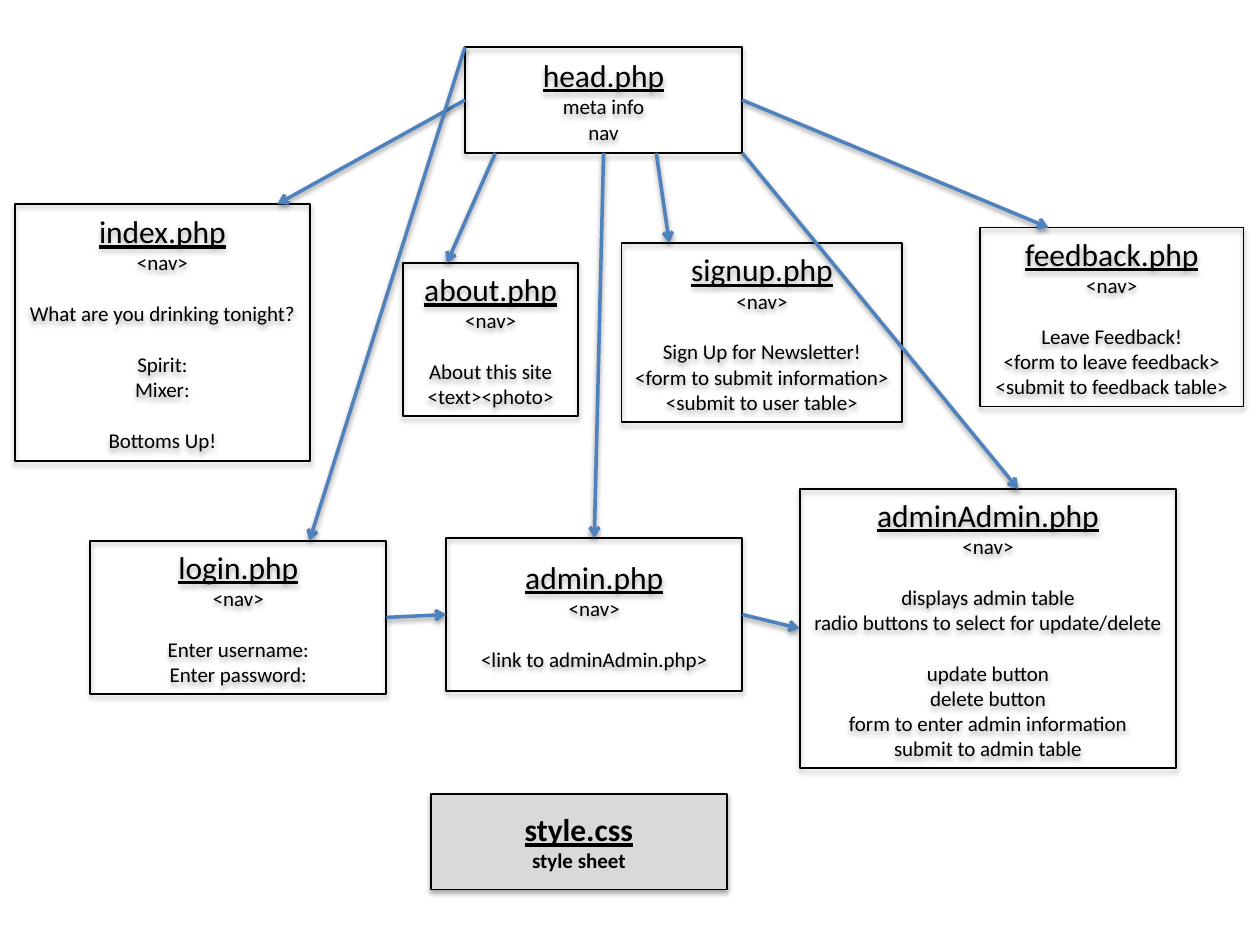
from dataclasses import dataclass

from lxml.etree import SubElement
from pptx import Presentation
from pptx.dml.color import RGBColor
from pptx.enum.shapes import MSO_CONNECTOR as Connector, MSO_SHAPE as Shape
from pptx.enum.text import MSO_ANCHOR as Anchor, PP_ALIGN as Align
from pptx.oxml.ns import qn
from pptx.util import Pt

INK = "000000"
ARROW_BLUE = "4F81BD"
SHEET_GRAY = "D9D9D9"
GROUP_GAP = 14.65

FRAME_FORMAT = {"vertical_anchor": Anchor.MIDDLE, "word_wrap": False}
NAME_FORMAT = {"name": "Calibri", "size": Pt(18), "underline": True}
DETAIL_FORMAT = {"name": "Calibri", "size": Pt(12), "underline": False}

GLUE_SITES = {(0.5, 0): 0, (0, 0.5): 1, (0.5, 1): 2, (1, 0.5): 3}


@dataclass(frozen=True)
class Page:
    name: str
    left: float
    top: float
    width: float
    height: float
    groups: tuple[tuple[str, ...], ...]
    fill: str | None = None
    bold: bool = False

    def point(self, spot: tuple[float, float]) -> tuple[Pt, Pt]:
        across, down = spot
        return Pt(self.left + across * self.width), Pt(self.top + down * self.height)


@dataclass(frozen=True)
class Link:
    source: str
    exit: tuple[float, float]
    target: str
    entry: tuple[float, float]


PAGES = (
    Page("head.php", 265.7, 27, 158.4, 60.4, (("meta info", "nav"),)),
    Page("index.php", 8.6, 116.6, 168.5, 146.9,
         (("<nav>",), ("What are you drinking tonight?",),
          ("Spirit:", "Mixer:"), ("Bottoms Up!",))),
    Page("about.php", 230.4, 150.3, 100, 87.6,
         (("<nav>",), ("About this site", "<text><photo>"))),
    Page("signup.php", 355.2, 138.8, 160.4, 102.4,
         (("<nav>",), ("Sign Up for Newsletter!", "<form to submit information>",
                       "<submit to user table>"))),
    Page("feedback.php", 560, 130, 150.6, 102.4,
         (("<nav>",), ("Leave Feedback!", "<form to leave feedback>",
                       "<submit to feedback table>"))),
    Page("login.php", 51.6, 309, 169.2, 87.6,
         (("<nav>",), ("Enter username:", "Enter password:"))),
    Page("admin.php", 255, 307.4, 169.2, 87.6,
         (("<nav>",), ("<link to adminAdmin.php>",))),
    Page("adminAdmin.php", 457, 279.4, 215.2, 159.4,
         (("<nav>",), ("displays admin table", "radio buttons to select for update/delete"),
          ("update button", "delete button", "form to enter admin information",
           "submit to admin table"))),
)
STYLE_SHEET = Page("style.css", 246.2, 453.6, 169.2, 54.7, (("style sheet",),),
                   fill=SHEET_GRAY, bold=True)

LINKS = (
    Link("login.php", (1, 0.5), "admin.php", (0, 0.5)),
    Link("admin.php", (1, 0.5), "adminAdmin.php", (0, 0.5)),
    Link("head.php", (0, 0.5), "index.php", (0.89, 0)),
    Link("head.php", (0.11, 1), "about.php", (0.25, 0)),
    Link("head.php", (0.69, 1), "signup.php", (0.17, 0)),
    Link("head.php", (1, 0.5), "feedback.php", (0.26, 0)),
    Link("head.php", (0, 0), "login.php", (0.74, 0)),
    Link("head.php", (0.5, 1), "admin.php", (0.5, 0)),
    Link("head.php", (1, 1), "adminAdmin.php", (0.58, 0)),
)


def color(hex_value: str) -> RGBColor:
    return RGBColor.from_string(hex_value)


def apply_format(item, values: dict) -> None:
    for attribute, value in values.items():
        setattr(item, attribute, value)


def set_outline(line, hex_value: str, weight: float) -> None:
    line.color.rgb = color(hex_value)
    line.width = Pt(weight)


def cast_shadow(properties, distance: float, opacity: int) -> None:
    effects = properties.find(qn("a:effectLst"))
    if effects is None:
        effects = SubElement(properties, qn("a:effectLst"))
    shadow = SubElement(effects, qn("a:outerShdw"), blurRad=str(Pt(3.1)),
                        dist=str(Pt(distance)), dir="5400000", rotWithShape="0")
    tint = SubElement(shadow, qn("a:srgbClr"), val=INK)
    SubElement(tint, qn("a:alpha"), val=str(opacity * 1000))


def write_line(paragraph, wording: str, values: dict, bold: bool) -> None:
    paragraph.alignment = Align.CENTER
    run = paragraph.add_run()
    run.text = wording
    apply_format(run.font, values | {"bold": bold})
    run.font.color.rgb = color(INK)


def draw_page(slide, page: Page):
    box = slide.shapes.add_shape(Shape.RECTANGLE, Pt(page.left), Pt(page.top),
                                 Pt(page.width), Pt(page.height))
    if page.fill:
        box.fill.solid()
        box.fill.fore_color.rgb = color(page.fill)
    else:
        box.fill.background()
    set_outline(box.line, INK, 1)
    box.shadow.inherit = False
    cast_shadow(box.element.spPr, 1.8, 35)

    frame = box.text_frame
    apply_format(frame, FRAME_FORMAT)
    write_line(frame.paragraphs[0], page.name, NAME_FORMAT, page.bold)
    for group_index, group in enumerate(page.groups):
        for line_index, wording in enumerate(group):
            paragraph = frame.add_paragraph()
            write_line(paragraph, wording, DETAIL_FORMAT, page.bold)
            if group_index and not line_index:
                paragraph.space_before = Pt(GROUP_GAP)
    return box


def draw_link(slide, link: Link, pages: dict[str, Page], boxes: dict) -> None:
    arrow = slide.shapes.add_connector(Connector.STRAIGHT,
                                       *pages[link.source].point(link.exit),
                                       *pages[link.target].point(link.entry))
    if link.exit in GLUE_SITES:
        arrow.begin_connect(boxes[link.source], GLUE_SITES[link.exit])
    if link.entry in GLUE_SITES:
        arrow.end_connect(boxes[link.target], GLUE_SITES[link.entry])
    set_outline(arrow.line, ARROW_BLUE, 2)
    properties = arrow.element.spPr
    SubElement(properties.find(qn("a:ln")), qn("a:tailEnd"), type="arrow")
    cast_shadow(properties, 1.6, 38)


def main() -> None:
    deck = Presentation()
    deck.slide_width, deck.slide_height = Pt(720), Pt(540)
    slide = deck.slides.add_slide(deck.slide_layouts.get_by_name("Blank"))

    pages = {page.name: page for page in PAGES}
    boxes = {page.name: draw_page(slide, page) for page in PAGES}
    for link in LINKS:
        draw_link(slide, link, pages, boxes)
    draw_page(slide, STYLE_SHEET)

    deck.save("out.pptx")


if __name__ == "__main__":
    main()
